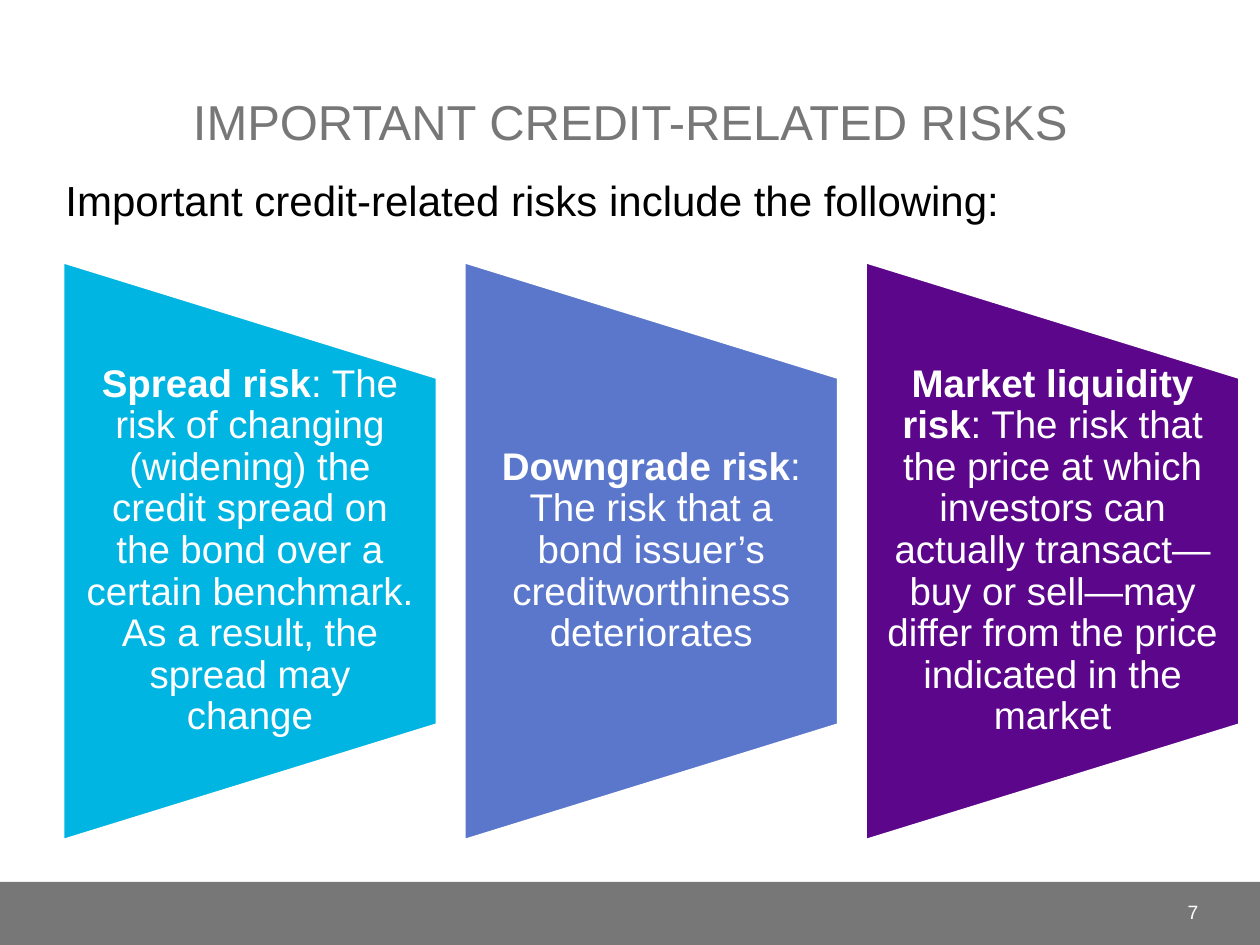
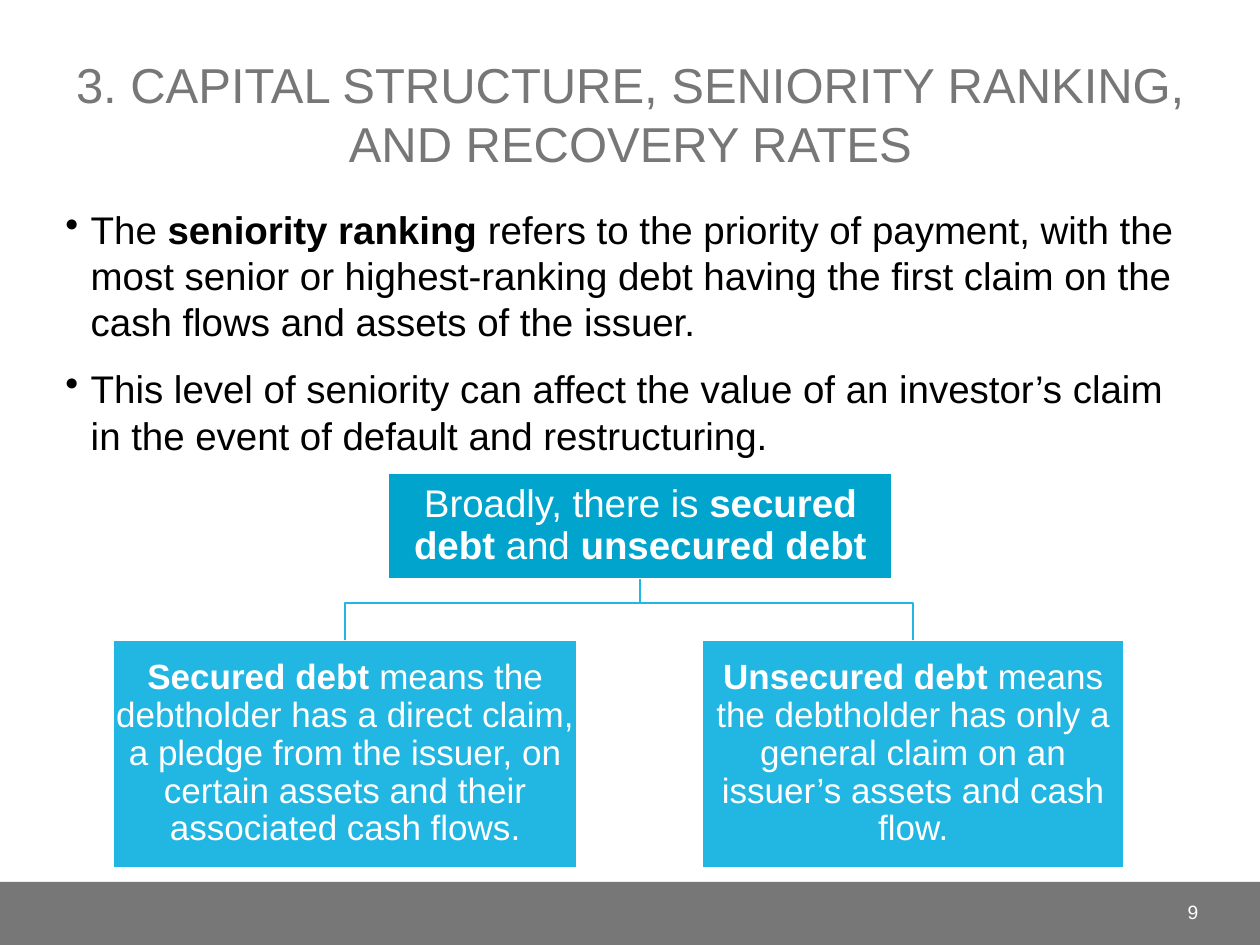
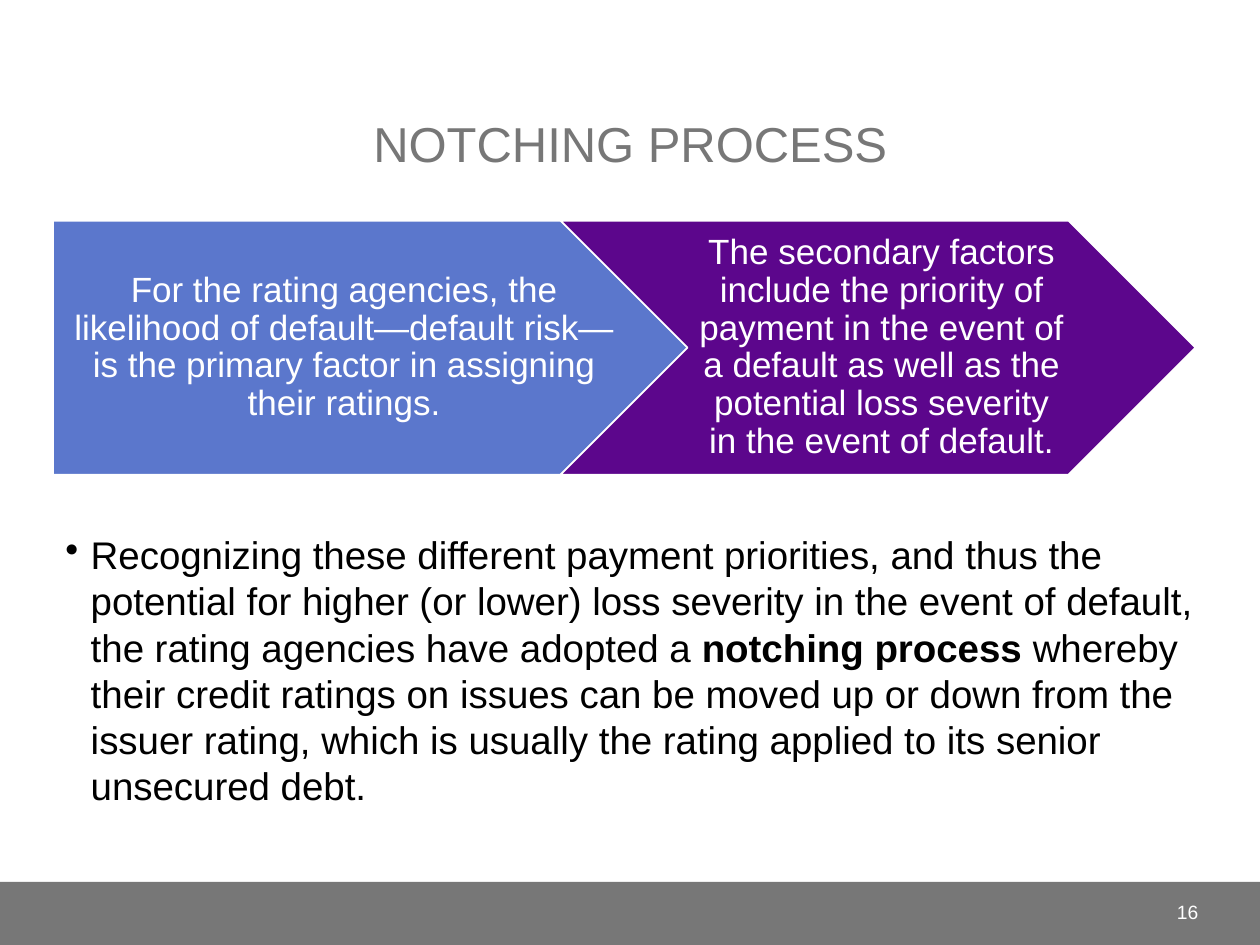
from lxml import etree
from pptx import Presentation
from pptx import util as u
from pptx.dml.color import RGBColor
from pptx.enum import shapes, text
from pptx.oxml.ns import qn

COLORS = {
    "white": "FFFFFF",
    "black": "000000",
    "gray": "777777",
    "cyan": "00B5E2",
    "blue": "5B77CC",
    "purple": "5C068C",
    "deep_cyan": "00A4CD",
    "light_cyan": "22B6E2",
}
FONT = "Arial"
MARGIN, CONTENT_WIDTH = 1.07, 23.27
DEFAULT_INSETS = (0.25, 0.13, 0.25, 0.13)


def color(name):
    return RGBColor.from_string(COLORS[name])


def cm(*lengths):
    return [u.Cm(length) for length in lengths]


# Text helpers
def write_paragraph(paragraph, words, size, color_name, align, bullet=False):
    """Write words into a paragraph; parts between asterisks are bold."""
    if bullet:
        properties = paragraph._p.get_or_add_pPr()
        properties.set("marL", str(u.Cm(0.51)))
        properties.set("indent", str(u.Cm(-0.51)))
        etree.SubElement(properties, qn("a:buChar"), char="•")
    paragraph.alignment = align
    paragraph.font.name = FONT
    paragraph.font.size = u.Pt(size)
    paragraph.font.color.rgb = color(color_name)
    for index, part in enumerate(words.split("*")):
        if part:
            run = paragraph.add_run()
            run.text = part
            if index % 2:
                run.font.bold = True


def set_frame(frame, anchor, insets=DEFAULT_INSETS):
    frame.word_wrap = True
    frame.auto_size = text.MSO_AUTO_SIZE.NONE
    frame.vertical_anchor = anchor
    (frame.margin_left, frame.margin_top,
     frame.margin_right, frame.margin_bottom) = cm(*insets)


def add_text(slide, box, words, size, color_name="black",
             align=text.PP_ALIGN.LEFT, anchor=text.MSO_ANCHOR.TOP):
    frame = slide.shapes.add_textbox(*cm(*box)).text_frame
    set_frame(frame, anchor)
    write_paragraph(frame.paragraphs[0], words, size, color_name, align)


def add_bullets(slide, box, items):
    frame = slide.shapes.add_textbox(*cm(*box)).text_frame
    set_frame(frame, text.MSO_ANCHOR.TOP)
    for index, words in enumerate(items):
        paragraph = frame.add_paragraph() if index else frame.paragraphs[0]
        write_paragraph(paragraph, words, 22, "black", text.PP_ALIGN.LEFT, True)
        paragraph.space_before = u.Pt(6 if index else 0)
        paragraph.space_after = u.Pt(6)


def write_diagram_text(shape, words, size, insets):
    set_frame(shape.text_frame, text.MSO_ANCHOR.MIDDLE, insets)
    paragraph = shape.text_frame.paragraphs[0]
    write_paragraph(paragraph, words, size, "white", text.PP_ALIGN.CENTER)
    paragraph.line_spacing = 0.9


# Shape helpers
def add_block(slide, kind, box, fill, line="white"):
    shape = slide.shapes.add_shape(kind, *cm(*box))
    shape.shadow.inherit = False
    shape.fill.solid()
    shape.fill.fore_color.rgb = color(fill)
    if line:
        shape.line.color.rgb = color(line)
        shape.line.width = u.Pt(1)
    else:
        shape.line.fill.background()
    return shape


def add_branch(slide, parent, child):
    """Draw a stepped line from a parent's bottom to a child's top."""
    start_x = parent.left + parent.width // 2
    start_y = parent.top + parent.height
    end_x = child.left + child.width // 2
    bend_y = start_y + u.Cm(0.48)
    builder = slide.shapes.build_freeform(start_x, start_y)
    builder.add_line_segments(
        [(start_x, bend_y), (end_x, bend_y), (end_x, child.top)], close=False)
    branch = builder.convert_to_shape()
    branch.shadow.inherit = False
    branch.fill.background()
    branch.line.color.rgb = color("light_cyan")
    branch.line.width = u.Pt(1)


def add_slide(presentation, title_words, number, title_height=3.18):
    slide = presentation.slides.add_slide(presentation.slide_layouts[5])
    # Footer band and slide number
    add_block(slide, shapes.MSO_SHAPE.RECTANGLE, (0, 17.78, 25.4, 1.27), "gray", None)
    add_text(slide, (22.23, 17.88, 2.18, 1.02), str(number), 11, "white",
             text.PP_ALIGN.RIGHT, text.MSO_ANCHOR.MIDDLE)
    # Title
    title = slide.shapes.title
    title.left, title.top, title.width, title.height = cm(
        MARGIN, 0.43, CONTENT_WIDTH, title_height)
    set_frame(title.text_frame, text.MSO_ANCHOR.BOTTOM)
    write_paragraph(title.text_frame.paragraphs[0], title_words, 28, "gray",
                    text.PP_ALIGN.CENTER)
    return slide


# Slides
def build_risks(presentation):
    slide = add_slide(presentation, "IMPORTANT CREDIT-RELATED RISKS", 7, 2.74)
    add_text(slide, (MARGIN, 3.38, 23.06, 1.7),
             "Important credit-related risks include the following:", 24)
    risks = [
        ("cyan", "*Spread risk*: The risk of changing (widening) the credit spread on "
         "the bond over a certain benchmark. As a result, the spread may change"),
        ("blue", "*Downgrade risk*: The risk that a bond issuer’s creditworthiness "
         "deteriorates"),
        ("purple", "*Market liquidity risk*: The risk that the price at which investors "
         "can actually transact—buy or sell—may differ from the price indicated "
         "in the market"),
    ]
    width, height, pitch, center_y = 7.52, 11.63, 8.09, 11.11
    for index, (fill, words) in enumerate(risks):
        left = 1.28 + index * pitch
        # The trapezoid is turned, so its own width is the height seen
        trapezoid = add_block(
            slide, shapes.MSO_SHAPE.FLOWCHART_MANUAL_OPERATION,
            (left + (width - height) / 2, center_y - width / 2, height, width), fill)
        trapezoid.rotation = 270
        label = slide.shapes.add_textbox(*cm(left, center_y - 3.49, width, 6.98))
        write_diagram_text(label, words, 22, (0.38, 0, 0.38, 0))


def build_seniority(presentation):
    slide = add_slide(
        presentation, "3. CAPITAL STRUCTURE, SENIORITY RANKING, AND RECOVERY RATES", 9)
    add_bullets(slide, (MARGIN, 4.02, CONTENT_WIDTH, 5.72), [
        "The *seniority ranking* refers to the priority of payment, with the most senior "
        "or highest-ranking debt having the first claim on the cash flows and assets "
        "of the issuer.",
        "This level of seniority can affect the value of an investor’s claim in the "
        "event of default and restructuring.",
    ])
    # Debt tree
    rectangle = shapes.MSO_SHAPE.RECTANGLE
    debt = add_block(slide, rectangle, (7.83, 9.53, 10.16, 2.15), "deep_cyan")
    write_diagram_text(
        debt, "Broadly, there is *secured debt* and *unsecured debt*", 22, (0.05,) * 4)
    kinds = [
        (2.29, 9.34, "*Secured debt* means the debtholder has a direct claim, a pledge "
         "from the issuer, on certain assets and their associated cash flows."),
        (14.16, 8.5, "*Unsecured debt* means the debtholder has only a general claim on "
         "an issuer’s assets and cash flow."),
    ]
    for left, width, words in kinds:
        kind = add_block(slide, rectangle, (left, 12.91, width, 4.58), "light_cyan")
        write_diagram_text(kind, words, 20, (0.03,) * 4)
        add_branch(slide, debt, kind)


def build_notching(presentation):
    slide = add_slide(presentation, "NOTCHING PROCESS", 16)
    # Factors, first and second
    factors = [
        (shapes.MSO_SHAPE.PENTAGON, "blue", 0.3,
         "For the rating agencies, the likelihood of default—default risk—is the "
         "primary factor in assigning their ratings."),
        (shapes.MSO_SHAPE.CHEVRON, "purple", 0.23,
         "The secondary factors include the priority of payment in the event of a "
         "default as well as the potential loss severity in the event of default."),
    ]
    for index, (kind, fill, left_inset, words) in enumerate(factors):
        arrow = add_block(
            slide, kind, (MARGIN + index * 10.23, 4.45, 12.8, 5.12), fill)
        write_diagram_text(arrow, words, 20, (left_inset, 0.15, 0.08, 0.15))
    add_bullets(slide, (MARGIN, 10.58, CONTENT_WIDTH, 6.56), [
        "Recognizing these different payment priorities, and thus the potential for "
        "higher (or lower) loss severity in the event of default, the rating agencies "
        "have adopted a *notching process* whereby their credit ratings on issues can "
        "be moved up or down from the issuer rating, which is usually the rating "
        "applied to its senior unsecured debt.",
    ])


def main():
    presentation = Presentation()
    presentation.slide_width, presentation.slide_height = cm(25.4, 19.05)
    build_risks(presentation)
    build_seniority(presentation)
    build_notching(presentation)
    presentation.save("out.pptx")


if __name__ == "__main__":
    main()
